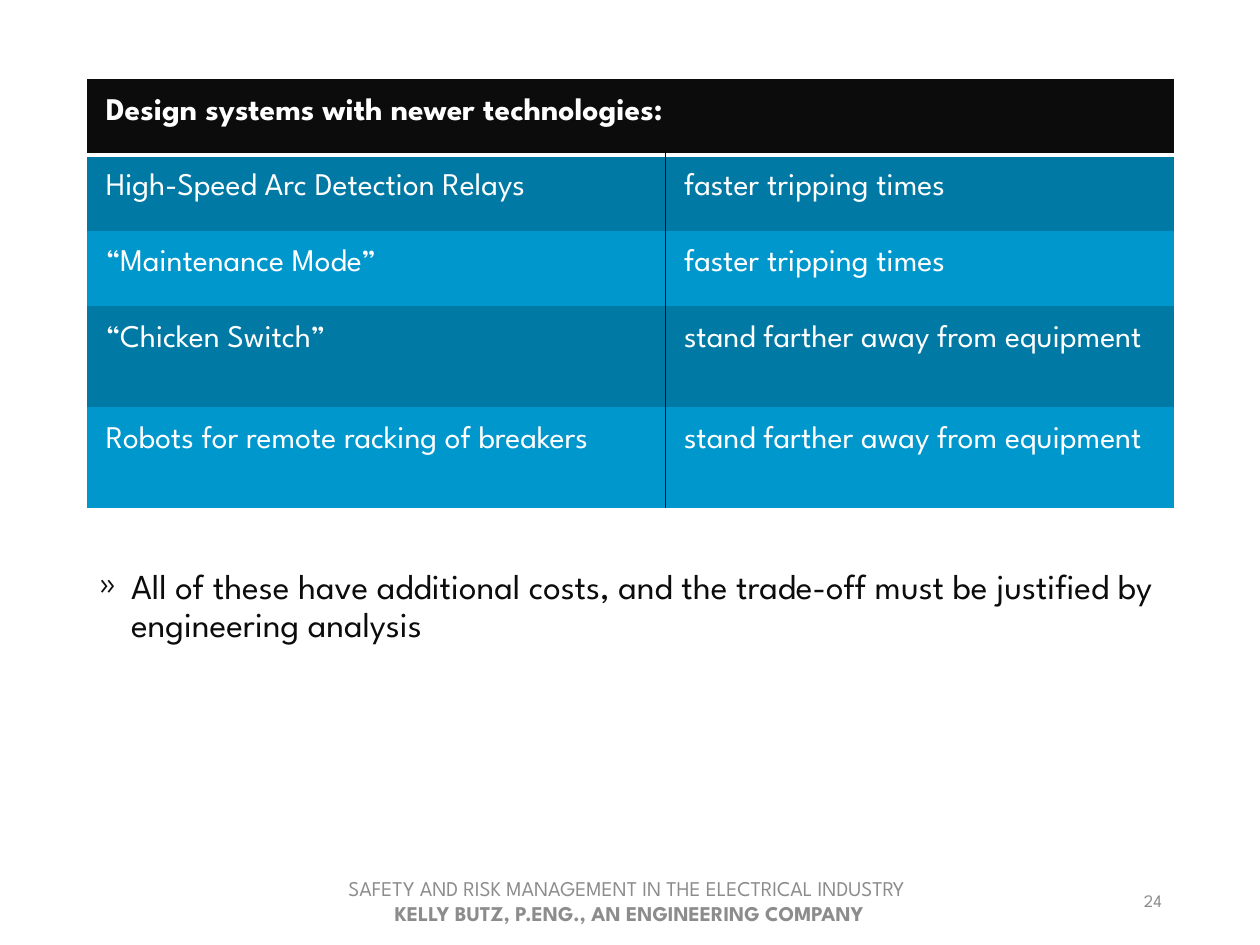
import pptx
import pptx.dml.color
import pptx.enum.text
import pptx.oxml
import pptx.oxml.ns
import pptx.util
from pptx.util import Inches, Pt

FONT = "League Spartan"
INK, WHITE, GREY = "0C0C0C", "FFFFFF", "8C8C8C"
BANDS = ["0079A4", "0097CD"]
NO_STYLE = "{2D5ABB26-0587-4C30-8999-92F81FD0307C}"

HEADING = "Design systems with newer technologies:"
TECHNOLOGIES = [
    ("High-Speed Arc Detection Relays", "faster tripping times"),
    ("“Maintenance Mode”", "faster tripping times"),
    ("“Chicken Switch”", "stand farther away from equipment"),
    ("Robots for remote racking of breakers", "stand farther away from equipment"),
]
COLUMN_WIDTHS = [4.59, 4.04]
ROW_HEIGHTS = [0.46, 0.46, 0.46, 0.8, 0.8]
CONCLUSION = ("All of these have additional costs, and the trade-off must be "
              "justified by engineering analysis")
COURSE = "SAFETY AND RISK MANAGEMENT IN THE ELECTRICAL INDUSTRY "
PRESENTER = "KELLY BUTZ, P.ENG., AN ENGINEERING COMPANY"
PAGE = "24"
LEFT, WIDTH = 0.69, 8.62


def rgb(color):
    return pptx.dml.color.RGBColor.from_string(color)


def style(paragraph, size, color, bold=None):
    paragraph.font.name = FONT
    paragraph.font.size = Pt(size)
    paragraph.font.color.rgb = rgb(color)
    paragraph.font.bold = bold


def add_border(cell, side, color, points):
    """Draw one cell edge; side is L, R, T or B."""
    line = pptx.oxml.parse_xml(
        f'<a:ln{side} {pptx.oxml.ns.nsdecls("a")} w="{Pt(points)}">'
        f'<a:solidFill><a:srgbClr val="{color}"/></a:solidFill></a:ln{side}>')
    cell._tc.get_or_add_tcPr().insert(0, line)


def fill_cell(cell, text, color, bold):
    cell.margin_left = cell.margin_right = Inches(0.15)
    cell.margin_top = cell.margin_bottom = Inches(0.15)
    cell.text = text
    style(cell.text_frame.paragraphs[0], 18, WHITE, bold)
    cell.fill.solid()
    cell.fill.fore_color.rgb = rgb(color)


def add_technology_table(slide):
    table = slide.shapes.add_table(
        len(ROW_HEIGHTS), len(COLUMN_WIDTHS), Inches(LEFT), Inches(0.63),
        Inches(WIDTH), Inches(sum(ROW_HEIGHTS))).table
    table._tbl.tblPr.find(pptx.oxml.ns.qn("a:tableStyleId")).text = NO_STYLE
    for column, width in zip(table.columns, COLUMN_WIDTHS):
        column.width = Inches(width)
    for row, height in zip(table.rows, ROW_HEIGHTS):
        row.height = Inches(height)

    header = table.cell(0, 0)
    header.merge(table.cell(0, 1))
    fill_cell(header, HEADING, INK, True)
    for column in range(len(COLUMN_WIDTHS)):
        add_border(table.cell(0, column), "B", WHITE, 2)
    for row, entries in enumerate(TECHNOLOGIES, start=1):
        for column, text in enumerate(entries):
            fill_cell(table.cell(row, column), text, BANDS[(row - 1) % 2], False)
            add_border(table.cell(row, column), "RL"[column], INK, 1)


def add_conclusion(body):
    body.left, body.top = Inches(LEFT), Inches(4.47)
    body.width, body.height = Inches(WIDTH), Inches(2.29)
    body.text_frame.text = CONCLUSION
    paragraph = body.text_frame.paragraphs[0]
    properties = paragraph._p.get_or_add_pPr()
    properties.set("marL", str(Inches(0.25)))
    properties.set("indent", str(-Inches(0.25)))
    properties.append(pptx.oxml.parse_xml(
        f'<a:buFont {pptx.oxml.ns.nsdecls("a")} typeface="{FONT}"/>'))
    properties.append(pptx.oxml.parse_xml(
        f'<a:buChar {pptx.oxml.ns.nsdecls("a")} char="»"/>'))
    paragraph.line_spacing = 0.9
    paragraph.space_before = Pt(0)
    style(paragraph, 20, INK)


def add_footer_box(slide, left, width, text, size, align):
    box = slide.shapes.add_textbox(
        Inches(left), Inches(6.95), Inches(width), Inches(0.4))
    box.text_frame.word_wrap = True
    box.text_frame.vertical_anchor = pptx.enum.text.MSO_ANCHOR.MIDDLE
    paragraph = box.text_frame.paragraphs[0]
    paragraph.alignment = align
    paragraph.add_run().text = text
    style(paragraph, size, GREY)
    return paragraph


def main():
    deck = pptx.Presentation()
    deck.slide_width, deck.slide_height = Inches(10), Inches(7.5)
    slide = deck.slides.add_slide(deck.slide_layouts[1])
    title = slide.shapes.title.element
    title.getparent().remove(title)

    add_conclusion(slide.placeholders[1])
    align = pptx.enum.text.PP_ALIGN
    credit = add_footer_box(slide, 2.42, 5.15, COURSE, 12, align.CENTER)
    credit.add_line_break()
    presenter = credit.add_run()
    presenter.text = PRESENTER
    presenter.font.bold = True
    add_footer_box(slide, 7.58, 1.74, PAGE, 10, align.RIGHT)
    add_technology_table(slide)
    deck.save("out.pptx")


if __name__ == "__main__":
    main()
